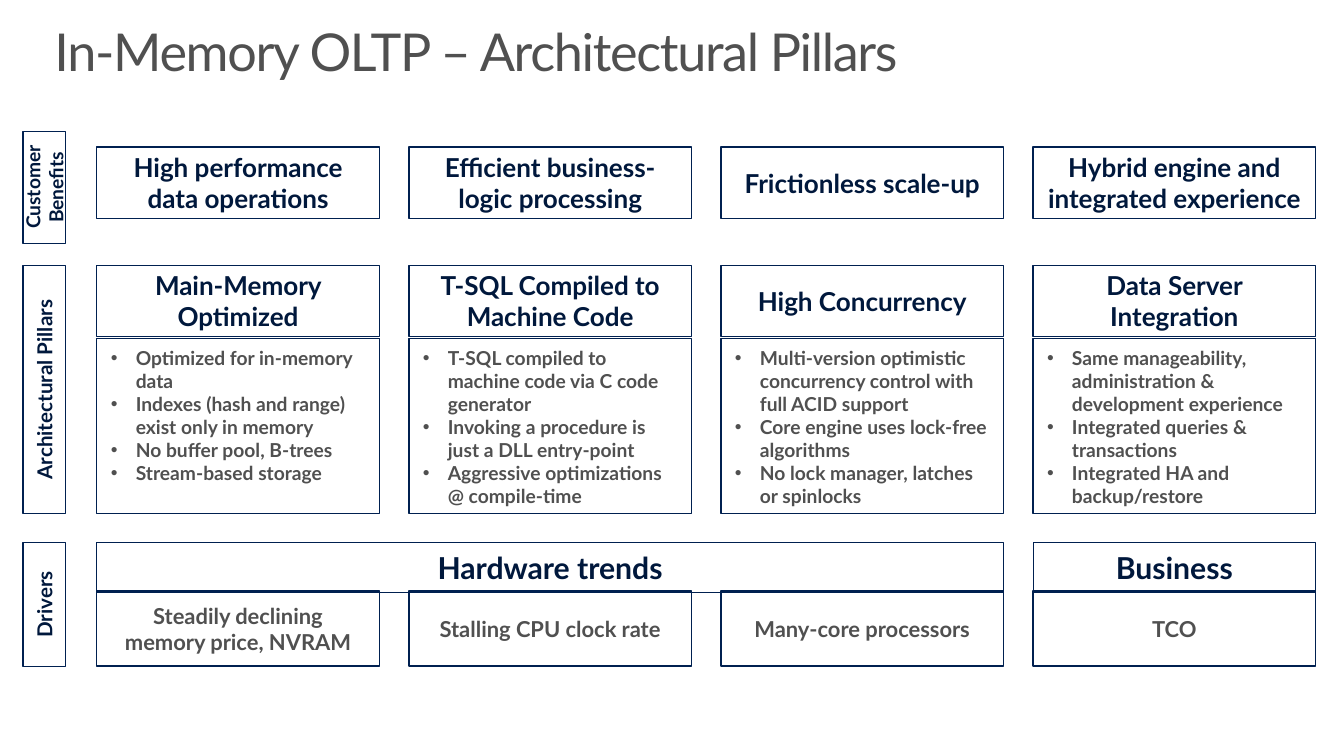
from lxml.etree import SubElement
from pptx import Presentation
from pptx.dml.color import RGBColor
from pptx.enum.shapes import MSO_SHAPE
from pptx.enum.text import MSO_ANCHOR, MSO_AUTO_SIZE, PP_ALIGN
from pptx.oxml.ns import qn
from pptx.util import Cm, Pt

NAVY = RGBColor(0x00, 0x20, 0x50)
DARK_NAVY = RGBColor(0x00, 0x18, 0x3C)
GREY = RGBColor(0x50, 0x50, 0x50)

FIRST_LEFT, COLUMN_STEP, COLUMN_WIDTH = 2.49, 8.02, 7.26
LABEL_LEFT, LABEL_WIDTH = 0.59, 1.09
HEADING_HEIGHT = 1.83
BENEFIT_TOP, PILLAR_TOP = 3.78, 6.82
DETAIL_TOP, DETAIL_HEIGHT = 8.71, 4.5
TREND_TOP, TREND_HEIGHT = 13.94, 1.3
DRIVER_TOP, DRIVER_HEIGHT = 15.19, 1.93

HEADING = {"name": "Lato", "size": Pt(19), "bold": True}
DETAIL = {**HEADING, "size": Pt(14)}
DRIVER = {**HEADING, "size": Pt(16)}
TREND = {**HEADING, "size": Pt(22)}
TITLE = {"name": "Lato", "size": Pt(38), "bold": False}
BOX_FRAME = {
    "word_wrap": True, "vertical_anchor": MSO_ANCHOR.MIDDLE,
    "margin_left": Cm(0.36), "margin_right": Cm(0.36),
    "margin_top": Cm(0.18), "margin_bottom": Cm(0.18),
}
TITLE_FRAME = {
    "word_wrap": True, "auto_size": MSO_AUTO_SIZE.NONE,
    "vertical_anchor": MSO_ANCHOR.TOP,
    "margin_left": Cm(0.64), "margin_right": Cm(0.41),
    "margin_top": Cm(0.25), "margin_bottom": Cm(0.25),
}

# Benefit, pillar, pillar details, driver
COLUMNS = [
    ("High performance data operations", "Main-Memory Optimized",
     ["Optimized for in-memory data",
      "Indexes (hash and range) exist only in memory",
      "No buffer pool, B-trees",
      "Stream-based storage"],
     "Steadily declining memory price, NVRAM"),
    ("Efficient business-logic processing", "T-SQL Compiled to Machine Code",
     ["T-SQL compiled to machine code via C code generator",
      "Invoking a procedure is just a DLL entry-point",
      "Aggressive optimizations @ compile-time"],
     "Stalling CPU clock rate"),
    ("Frictionless scale-up", "High Concurrency",
     ["Multi-version optimistic concurrency control with full ACID support",
      "Core engine uses lock-free algorithms",
      "No lock manager, latches or spinlocks"],
     "Many-core processors"),
    ("Hybrid engine and integrated experience", "Data Server Integration",
     ["Same manageability, administration & development experience",
      "Integrated queries & transactions",
      "Integrated HA and backup/restore"],
     "TCO"),
]
# Text, top, height, text size
ROW_LABELS = [
    ("Customer Benefits", 3.38, 2.87, 14),
    ("Architectural Pillars", PILLAR_TOP, 6.39, 15),
    ("Drivers", TREND_TOP, 3.19, 15),
]


def apply_format(target, values):
    for name, value in values.items():
        setattr(target, name, value)


def write_run(paragraph, text, font_format, color):
    run = paragraph.add_run()
    run.text = text
    apply_format(run.font, font_format)
    run.font.color.rgb = color
    return run


def add_frame(slide, left, top, width, height):
    """Add an unfilled, outlined rectangle and return it."""
    shape = slide.shapes.add_shape(
        MSO_SHAPE.RECTANGLE, Cm(left), Cm(top), Cm(width), Cm(height))
    shape.shadow.inherit = False
    shape.fill.background()
    shape.line.color.rgb = NAVY
    shape.line.width = Pt(0.85)
    apply_format(shape.text_frame, BOX_FRAME)
    return shape


def add_box(slide, text, place, font_format, color=DARK_NAVY):
    shape = add_frame(slide, *place)
    paragraph = shape.text_frame.paragraphs[0]
    paragraph.alignment = PP_ALIGN.CENTER
    write_run(paragraph, text, font_format, color)
    return shape


def add_row_label(slide, text, top, height, size):
    shape = add_box(slide, text, (LABEL_LEFT, top, LABEL_WIDTH, height),
                    {**HEADING, "size": Pt(size)})
    shape.text_frame._txBody.bodyPr.set("vert", "vert270")


def add_bullet_box(slide, items, place):
    frame = add_frame(slide, *place).text_frame
    frame.vertical_anchor = MSO_ANCHOR.TOP
    for index, item in enumerate(items):
        paragraph = frame.add_paragraph() if index else frame.paragraphs[0]
        paragraph.alignment = PP_ALIGN.LEFT
        properties = paragraph._p.get_or_add_pPr()
        properties.set("marL", str(Cm(0.64)))
        properties.set("indent", str(-Cm(0.64)))
        SubElement(properties, qn("a:buFont")).set("typeface", "Arial")
        SubElement(properties, qn("a:buChar")).set("char", "•")
        write_run(paragraph, item, DETAIL, GREY)


def set_title(slide, text):
    title = slide.shapes.title
    apply_format(title, {"left": Cm(0.76), "top": Cm(0.43),
                         "width": Cm(33.02), "height": Cm(2.54)})
    apply_format(title.text_frame, TITLE_FRAME)
    paragraph = title.text_frame.paragraphs[0]
    apply_format(paragraph, {"alignment": PP_ALIGN.LEFT, "line_spacing": 0.9})
    run = write_run(paragraph, text, TITLE, GREY)
    run._r.get_or_add_rPr().set("spc", "-100")


def add_column(slide, left, benefit, pillar, details, driver):
    add_box(slide, benefit,
            (left, BENEFIT_TOP, COLUMN_WIDTH, HEADING_HEIGHT), HEADING)
    add_box(slide, pillar,
            (left, PILLAR_TOP, COLUMN_WIDTH, HEADING_HEIGHT), HEADING)
    add_bullet_box(slide, details,
                   (left, DETAIL_TOP, COLUMN_WIDTH, DETAIL_HEIGHT))
    add_box(slide, driver,
            (left, DRIVER_TOP, COLUMN_WIDTH, DRIVER_HEIGHT), DRIVER, GREY)


def add_trend(slide, text, first_column, last_column):
    """Add a driver heading that spans the given columns."""
    left = FIRST_LEFT + first_column * COLUMN_STEP
    width = (last_column - first_column) * COLUMN_STEP + COLUMN_WIDTH
    shape = add_box(slide, text, (left, TREND_TOP, width, TREND_HEIGHT), TREND)
    shape.line.width = Pt(0.75)


def main():
    presentation = Presentation()
    presentation.slide_width = Cm(34.54)
    presentation.slide_height = Cm(19.43)
    slide = presentation.slides.add_slide(presentation.slide_layouts[5])

    set_title(slide, "In-Memory OLTP – Architectural Pillars")
    for label in ROW_LABELS:
        add_row_label(slide, *label)
    for index, column in enumerate(COLUMNS):
        add_column(slide, FIRST_LEFT + index * COLUMN_STEP, *column)
    add_trend(slide, "Hardware trends", 0, 2)
    add_trend(slide, "Business", 3, 3)

    presentation.save("out.pptx")


if __name__ == "__main__":
    main()
